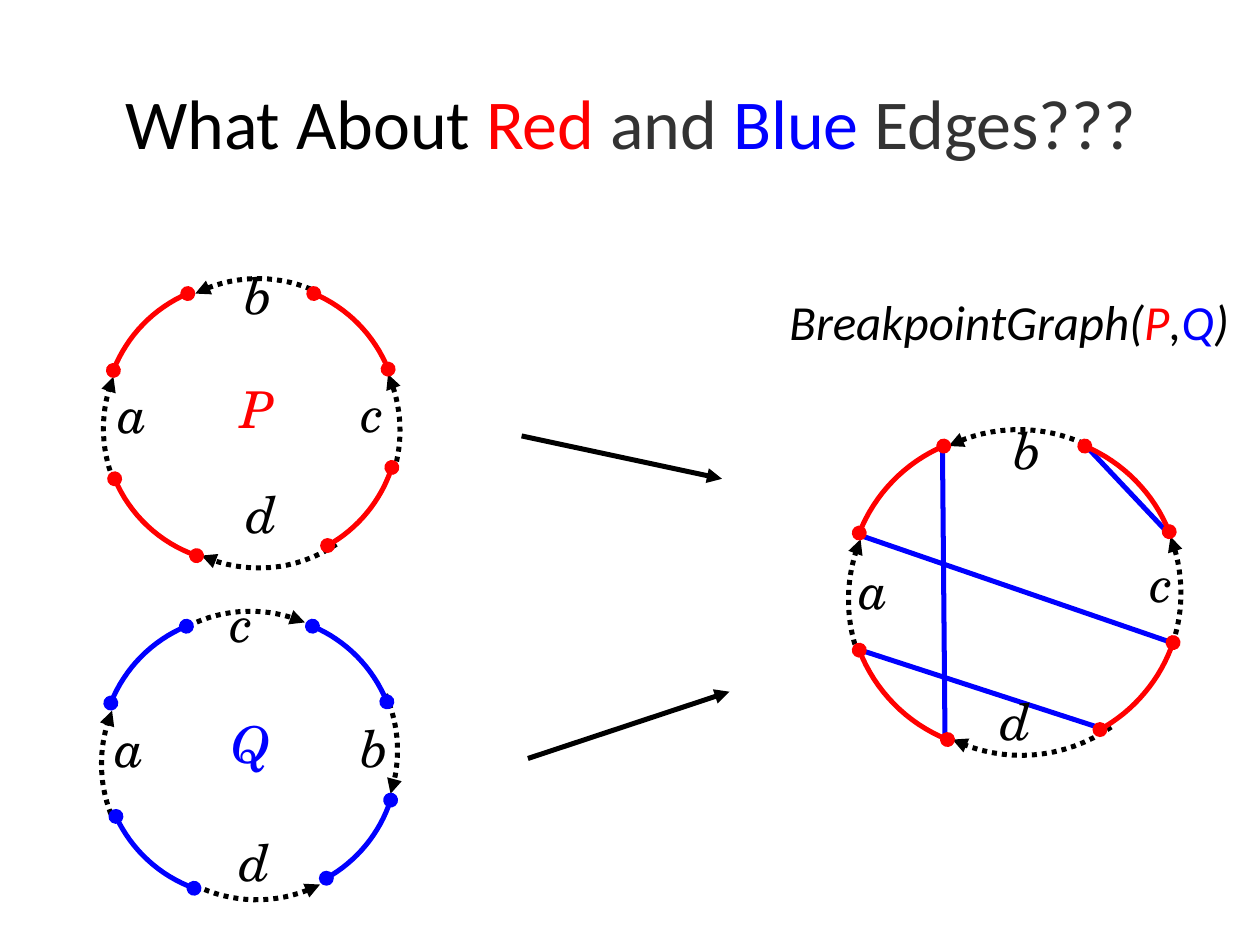
"""Build a slide on the red and blue edges of a breakpoint graph."""
from math import asin, atan2, cos, hypot, sin

from lxml.etree import SubElement
from pptx import Presentation
from pptx.dml.color import RGBColor
from pptx.enum.dml import MSO_LINE_DASH_STYLE as DASH
from pptx.enum.shapes import MSO_CONNECTOR as CONNECTOR
from pptx.enum.text import MSO_ANCHOR as ANCHOR, MSO_AUTO_SIZE as AUTO, PP_ALIGN as ALIGN
from pptx.oxml.ns import qn
from pptx.util import Inches, Pt

COLORS = {"black": "000000", "red": "FF0000", "blue": "0000FF", "grey": "333333"}
STEPS = 16


def style_line(shape, color, head=None, tail=None):
    shape.line.color.rgb = RGBColor.from_string(COLORS[color])
    shape.line.width = Pt(2.85)
    line = shape.line._get_or_add_ln()
    for tag, kind in (("a:headEnd", head), ("a:tailEnd", tail)):
        if kind:
            SubElement(line, qn(tag)).set("type", kind)


def fill_text(shape, left, top, width, height, spans, size, font, spacing, italic=True):
    shape.left, shape.top = Inches(left), Inches(top)
    shape.width, shape.height = Inches(width), Inches(height)
    frame = shape.text_frame
    frame.word_wrap, frame.auto_size = True, AUTO.NONE
    frame.margin_left = frame.margin_right = frame.margin_top = frame.margin_bottom = 0
    para = frame.paragraphs[0]
    para.line_spacing = spacing
    para.font.size, para.font.name, para.font.italic = Pt(size), font, italic
    for text, color in spans:
        span = para.add_run()
        span.text = text
        span.font.color.rgb = RGBColor.from_string(COLORS[color])
    return frame


deck = Presentation()
deck.slide_width, deck.slide_height = Inches(10), Inches(7.5)
page = deck.slides.add_slide(deck.slide_layouts[5])
shapes = page.shapes

title_spans = [("What About ", "black"), ("Red", "red"), (" and ", "grey"),
               ("Blue", "blue"), (" Edges???", "grey")]
title = fill_text(shapes.title, 0.17, 0.33, 9.67, 1.25, title_spans, 40, "Calibri", 1.02, False)
title.vertical_anchor = ANCHOR.MIDDLE
title.paragraphs[0].alignment = ALIGN.CENTER

straight_lines = [
    ((6.83, 5.16), (8.77, 5.79), "blue", None),
    ((7.5, 5.85), (7.48, 3.55), "blue", None),
    ((6.83, 4.25), (9.3, 5.1), "blue", None),
    ((8.61, 3.53), (9.27, 4.23), "blue", None),
    ((4.14, 3.46), (5.73, 3.8), "black", "triangle"),
    ((4.19, 6.02), (5.79, 5.49), "black", "triangle"),
]
for start, end, color, tail in straight_lines:
    edge = shapes.add_connector(CONNECTOR.STRAIGHT, *map(Inches, start + end))
    style_line(edge, color, tail=tail)
    SubElement(edge._element.spPr, qn("a:effectLst"))

# Each genome lists clockwise arcs: dotted ones with the arrow's end, then solid ones.
genomes = [
    ("red", 1.1,
     [((1.55, 2.33), (2.48, 2.3), "start"), ((3.08, 2.97), (3.12, 3.76), "start"),
      ((2.67, 4.32), (1.6, 4.41), "end"), ((0.9, 3.81), (0.9, 2.99), "end")],
     [((2.49, 2.33), (3.08, 2.93)), ((3.11, 3.71), (2.6, 4.33)),
      ((1.56, 4.41), (0.91, 3.8)), ((0.9, 2.94), (1.49, 2.33))]),
    ("blue", 1.1,
     [((1.49, 4.97), (2.42, 4.94), "end"), ((3.06, 5.51), (3.1, 6.3), "end"),
      ((2.54, 7.02), (1.6, 7.05), "start"), ((0.88, 6.46), (0.89, 5.64), "end")],
     [((2.48, 4.97), (3.07, 5.57)), ((3.1, 6.35), (2.59, 6.97)),
      ((1.54, 7.05), (0.92, 6.48)), ((0.88, 5.58), (1.48, 4.97))]),
    ("red", 1.25,
     [((7.53, 3.54), (8.62, 3.53), "start"), ((9.29, 4.26), (9.31, 5.1), "start"),
      ((8.82, 5.77), (7.56, 5.87), "end"), ((6.81, 5.19), (6.83, 4.28), "end")],
     [((8.61, 3.54), (9.28, 4.22)), ((9.31, 5.1), (8.73, 5.79)),
      ((7.52, 5.87), (6.82, 5.16)), ((6.82, 4.23), (7.49, 3.54))]),
]
for genome_color, radius, blocks, adjacencies in genomes:
    for (x1, y1), (x2, y2), arrow in blocks + [pair + (None,) for pair in adjacencies]:
        half = asin(hypot(x2 - x1, y2 - y1) / 2 / radius)
        outward = atan2(x1 - x2, y2 - y1)
        center_x = (x1 + x2) / 2 - radius * cos(half) * cos(outward)
        center_y = (y1 + y2) / 2 - radius * cos(half) * sin(outward)
        angles = [outward + half * (2 * step / STEPS - 1) for step in range(STEPS + 1)]
        points = [(Inches(center_x + radius * cos(angle)), Inches(center_y + radius * sin(angle)))
                  for angle in angles]
        builder = shapes.build_freeform(*points[0])
        builder.add_line_segments(points[1:], close=False)
        arc = builder.convert_to_shape()
        arc.fill.background()
        arc.shadow.inherit = False
        if arrow:
            arc.line.dash_style = DASH.ROUND_DOT
            style_line(arc, "black", head="triangle" if arrow == "start" else None,
                       tail="triangle" if arrow == "end" else None)
        else:
            style_line(arc, genome_color, head="oval", tail="oval")

letters = [
    ("a", 0.94, 3.2), ("b", 1.94, 2.25), ("c", 2.87, 3.19), ("d", 1.96, 3.99), ("P", 1.91, 3.16),
    ("a", 0.92, 5.85), ("b", 2.86, 5.85), ("c", 1.83, 4.86), ("d", 1.9, 6.75), ("Q", 1.84, 5.82),
    ("a", 6.82, 4.59), ("b", 8.04, 3.48), ("c", 9.13, 4.54), ("d", 7.94, 5.63),
]
for letter, left, top in letters:
    box = shapes.add_textbox(0, 0, 0, 0)
    color = {"P": "red", "Q": "blue"}.get(letter, "black")
    fill_text(box, left, top, 0.3, 0.5, [(letter, color)], 29, "TeX Gyre Schola", 0.63)

graph_spans = [("BreakpointGraph(", "black"), ("P", "red"), (",", "black"),
               ("Q", "blue"), (")", "black")]
graph_label = fill_text(shapes.add_textbox(0, 0, 0, 0), 5.89, 2.47, 4.24, 0.68,
                        graph_spans, 28, "Calibri", 0.63)
graph_label.paragraphs[0].alignment = ALIGN.CENTER

deck.save("out.pptx")
